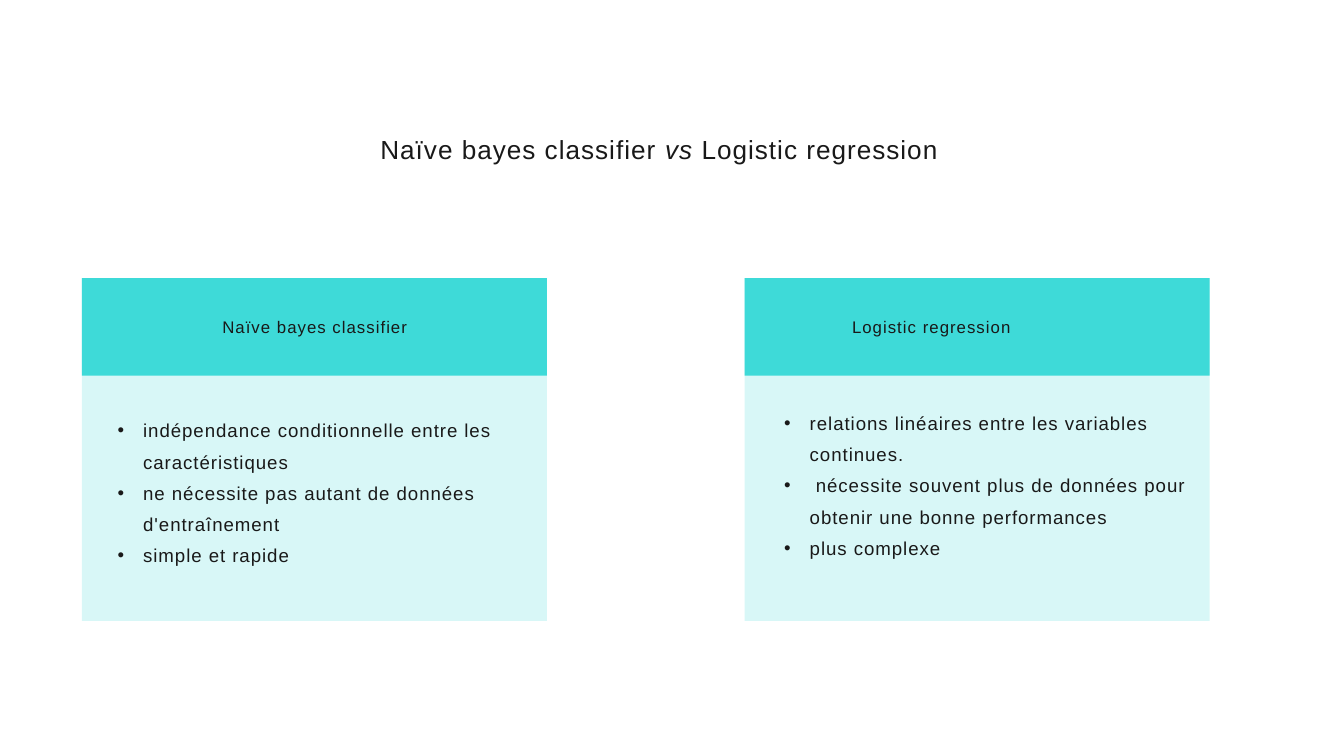
"""Build a slide that compares the naïve Bayes classifier with logistic regression."""
import pptx
import pptx.util
import pptx.dml.color
import pptx.enum.shapes
import pptx.enum.text
import pptx.oxml.ns
from lxml import etree

Pt = pptx.util.Pt
RGBColor = pptx.dml.color.RGBColor
PP_ALIGN = pptx.enum.text.PP_ALIGN
qn = pptx.oxml.ns.qn

TEAL = RGBColor(0x3E, 0xDA, 0xD8)
INK = RGBColor(0x19, 0x19, 0x19)

TITLE = [("Naïve bayes classifier ", False), ("vs ", True), ("Logistic regression", False)]
CARDS = [
    {
        "left": 87.8,
        "heading": "Naïve bayes classifier",
        "heading_box": (231.1, 336.2, 228.2, 28.8),
        "points": [
            "indépendance conditionnelle entre les caractéristiques",
            "ne nécessite pas autant de données d'entraînement",
            "simple et rapide",
        ],
        "points_box": (126, 439.6, 470.2, 172.4),
    },
    {
        "left": 797.8,
        "heading": "Logistic regression",
        "heading_box": (905.8, 336.2, 203, 28.8),
        "points": [
            "relations linéaires entre les variables continues.",
            " nécessite souvent plus de données pour obtenir une bonne performances",
            "plus complexe",
        ],
        "points_box": (840.2, 431.7, 470.2, 172.4),
    },
]
CARD_TOP, CARD_WIDTH, CARD_HEIGHT, HEADER_HEIGHT = 298.1, 498.2, 367.2, 104.4
TITLE_BOX = (367, 129.6, 678.2, 95)
BULLET_INDENT = 27.4

FRAME = {
    "word_wrap": True,
    "auto_size": pptx.enum.text.MSO_AUTO_SIZE.NONE,
    "vertical_anchor": pptx.enum.text.MSO_ANCHOR.TOP,
}
NO_MARGINS = dict.fromkeys(("margin_left", "margin_top", "margin_right", "margin_bottom"), 0)
TITLE_PARAGRAPH = {"alignment": PP_ALIGN.CENTER, "line_spacing": Pt(47.2), "space_before": Pt(0)}
POINT_PARAGRAPH = {"alignment": PP_ALIGN.LEFT, "line_spacing": Pt(33.5)}


def apply(target, values):
    for name, value in values.items():
        setattr(target, name, value)


def place(sp, box):
    apply(sp, dict(zip(("left", "top", "width", "height"), map(Pt, box))))


def add_run(p, text, size, spacing, italic=False):
    r = p.add_run()
    r.text = text
    apply(r.font, {"name": "Arial", "size": Pt(size), "bold": False, "italic": italic})
    r.font.color.rgb = INK
    r.font._element.set("spc", str(round(spacing * 100)))


def add_bullet(p):
    pPr = p._p.get_or_add_pPr()
    pPr.set("marL", str(Pt(BULLET_INDENT)))
    pPr.set("indent", str(-Pt(BULLET_INDENT)))
    etree.SubElement(pPr, qn("a:buFont")).set("typeface", "Arial")
    etree.SubElement(pPr, qn("a:buChar")).set("char", "•")


def add_panel(group, left, height, opacity=100):
    box = map(Pt, (left, CARD_TOP, CARD_WIDTH, height))
    sp = group.shapes.add_shape(pptx.enum.shapes.MSO_SHAPE.RECTANGLE, *box)
    sp.shadow.inherit = False
    sp.line.fill.background()
    sp.fill.solid()
    sp.fill.fore_color.rgb = TEAL
    if opacity < 100:
        color = sp._element.spPr.find(qn("a:solidFill"))[0]
        etree.SubElement(color, qn("a:alpha")).set("val", str(opacity * 1000))


def add_text(s, box, margins):
    tf = s.shapes.add_textbox(*map(Pt, box)).text_frame
    apply(tf, FRAME | margins)
    return tf


def add_title(s):
    sp = s.shapes.title
    place(sp, TITLE_BOX)
    tf = sp.text_frame
    apply(tf, FRAME | NO_MARGINS)
    p = tf.paragraphs[0]
    apply(p, TITLE_PARAGRAPH)
    for text, italic in TITLE:
        add_run(p, text, 28, 1.1, italic)


def add_card(s, card):
    group = s.shapes.add_group_shape()
    add_panel(group, card["left"], CARD_HEIGHT, 20)
    add_panel(group, card["left"], HEADER_HEIGHT)
    heading = add_text(s, card["heading_box"], {})
    add_run(heading.paragraphs[0], card["heading"], 18, 1.1)
    tf = add_text(s, card["points_box"], NO_MARGINS)
    for i, point in enumerate(card["points"]):
        p = tf.add_paragraph() if i else tf.paragraphs[0]
        add_bullet(p)
        apply(p, POINT_PARAGRAPH)
        add_run(p, point, 20, 1)


def main():
    prs = pptx.Presentation()
    apply(prs, {"slide_width": Pt(1440), "slide_height": Pt(810)})
    s = prs.slides.add_slide(prs.slide_layouts[5])
    add_title(s)
    for card in CARDS:
        add_card(s, card)
    prs.save("out.pptx")


if __name__ == "__main__":
    main()
